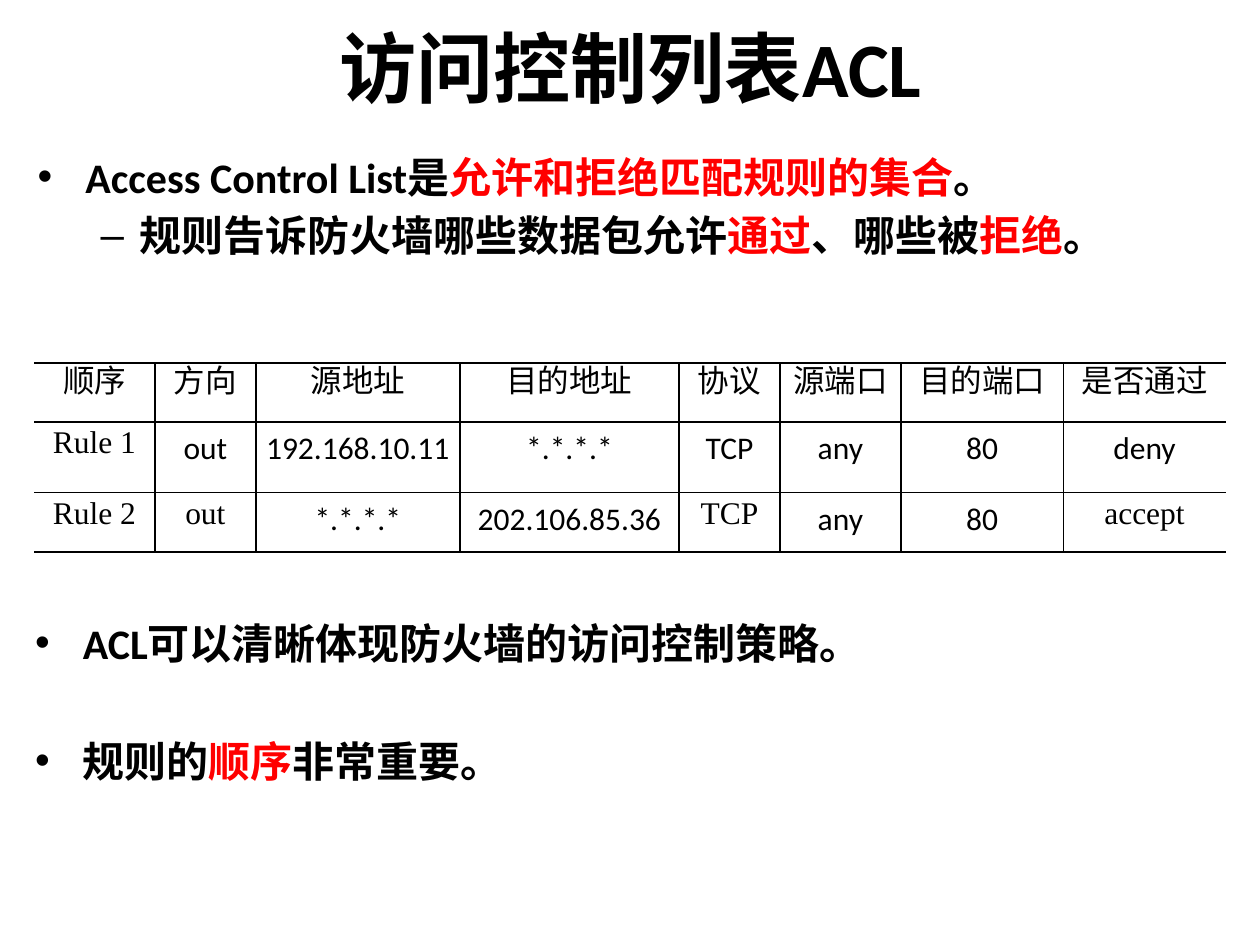
"""Build a slide that explains firewall access control lists."""
from lxml import etree
from pptx import Presentation
from pptx.dml.color import RGBColor
from pptx.enum.text import MSO_ANCHOR, PP_ALIGN
from pptx.oxml.ns import qn
from pptx.util import Inches, Pt

CENTER, JUSTIFY = PP_ALIGN.CENTER, PP_ALIGN.JUSTIFY
TOP, MIDDLE = MSO_ANCHOR.TOP, MSO_ANCHOR.MIDDLE
BLACK = RGBColor(0x00, 0x00, 0x00)
RED = RGBColor(0xFF, 0x00, 0x00)
SANS, SERIF = "Calibri", "Times New Roman"
TITLE_ONLY = 5

COLUMN_WIDTHS = [0.96, 0.8, 1.62, 1.74, 0.8, 0.96, 1.29, 1.29]
ROW_HEIGHTS = [0.47, 0.56, 0.47]
RULES = [
    ["顺序", "方向", "源地址", "目的地址", "协议", "源端口", "目的端口", "是否通过"],
    ["Rule 1", "out", "192.168.10.11", "*.*.*.*", "TCP", "any", "80", "deny"],
    ["Rule 2", "out", "*.*.*.*", "202.106.85.36", "TCP", "any", "80", "accept"],
]
SERIF_COLUMNS = [set(range(8)), {0}, {0, 1, 4, 7}]


def write(para, text, *, size, font=SANS, bold=False, align=CENTER, before=0):
    """Fill a paragraph; every second part between bars is red."""
    para.alignment = align
    para.space_before = Pt(before)
    para.font.size = Pt(size)
    for index, part in enumerate(text.split("|")):
        span = para.add_run()
        span.text = part
        span.font.name = font
        span.font.size = Pt(size)
        span.font.bold = bold
        span.font.color.rgb = RED if index % 2 else BLACK


def add_bullet(para, symbol, margin, indent):
    """Give a paragraph a hanging bullet."""
    properties = para._p.get_or_add_pPr()
    properties.set("marL", str(Inches(margin)))
    properties.set("indent", str(Inches(indent)))
    etree.SubElement(properties, qn("a:buFont"), typeface="Arial")
    etree.SubElement(properties, qn("a:buChar"), char=symbol)


def add_border(cell, side, visible):
    """Draw or clear one side of a table cell."""
    line = etree.SubElement(cell._tc.get_or_add_tcPr(), qn(f"a:ln{side}"), w=str(Pt(1)))
    if visible:
        fill = etree.SubElement(line, qn("a:solidFill"))
        etree.SubElement(fill, qn("a:srgbClr"), val=str(BLACK))
    else:
        etree.SubElement(line, qn("a:noFill"))


class SlideBuilder:
    """Hold the text style and the current slide."""

    bullets = {0: ("•", 0.38, -0.38), 1: ("–", 0.81, -0.31)}
    title_size, body_size, table_size = 44, 24, 18

    def __init__(self, deck):
        """Add a title-only slide."""
        self.page = deck.slides.add_slide(deck.slide_layouts[TITLE_ONLY])

    def title(self, text, left, top, width, height):
        """Place and fill the title."""
        box = self.page.shapes.title
        box.left, box.top = Inches(left), Inches(top)
        box.width, box.height = Inches(width), Inches(height)
        frame = box.text_frame
        frame.vertical_anchor = MIDDLE
        write(frame.paragraphs[0], text, size=self.title_size, bold=True)

    def bullet_list(self, items, left, top, width, height):
        """Add a list of (level, space before, text) items."""
        box = self.page.shapes.add_textbox(
            Inches(left), Inches(top), Inches(width), Inches(height))
        frame = box.text_frame
        frame.word_wrap = True
        for index, (level, before, text) in enumerate(items):
            para = frame.add_paragraph() if index else frame.paragraphs[0]
            para.level = level
            add_bullet(para, *self.bullets[level])
            write(para, text, size=self.body_size, bold=True, align=JUSTIFY, before=before)

    def rule_table(self, left, top):
        """Add the table of firewall rules."""
        table = self.page.shapes.add_table(
            len(RULES), len(COLUMN_WIDTHS), Inches(left), Inches(top),
            Inches(sum(COLUMN_WIDTHS)), Inches(sum(ROW_HEIGHTS))).table
        table.first_row = table.horz_banding = False
        for column, width in zip(table.columns, COLUMN_WIDTHS):
            column.width = Inches(width)
        for row, height in zip(table.rows, ROW_HEIGHTS):
            row.height = Inches(height)
        for row, values in enumerate(RULES):
            for column, text in enumerate(values):
                self.rule_cell(table.cell(row, column), text, column,
                               serif=column in SERIF_COLUMNS[row])

    def rule_cell(self, cell, text, column, serif):
        """Fill and outline one cell, open at the table's outer sides."""
        cell.margin_left = cell.margin_right = Inches(0.07)
        cell.margin_top = cell.margin_bottom = 0
        cell.vertical_anchor = TOP
        para = cell.text_frame.paragraphs[0]
        para.line_spacing = Pt(22) if serif else 1.2
        write(para, text, size=self.table_size, font=SERIF if serif else SANS)
        add_border(cell, "L", column > 0)
        add_border(cell, "R", column < len(COLUMN_WIDTHS) - 1)
        add_border(cell, "T", True)
        add_border(cell, "B", True)
        cell.fill.background()


def main():
    """Build and save the deck."""
    deck = Presentation()
    deck.slide_width, deck.slide_height = Inches(10), Inches(7.5)
    builder = SlideBuilder(deck)
    builder.title("访问控制列表ACL", 0.2, 0.07, 9.61, 0.92)
    builder.bullet_list([
        (0, 0, "Access Control List是|允许和拒绝匹配规则的集合|。"),
        (1, 4.8, "规则告诉防火墙哪些数据包允许|通过|、哪些被|拒绝|。"),
    ], 0.2, 1.15, 9.53, 1.42)
    builder.rule_table(0.27, 2.88)
    builder.bullet_list([
        (0, 0, "ACL可以清晰体现防火墙的访问控制策略。"),
        (0, 38.5, "规则的|顺序|非常重要。"),
    ], 0.18, 4.85, 9.53, 1.42)
    deck.save("out.pptx")


if __name__ == "__main__":
    main()
